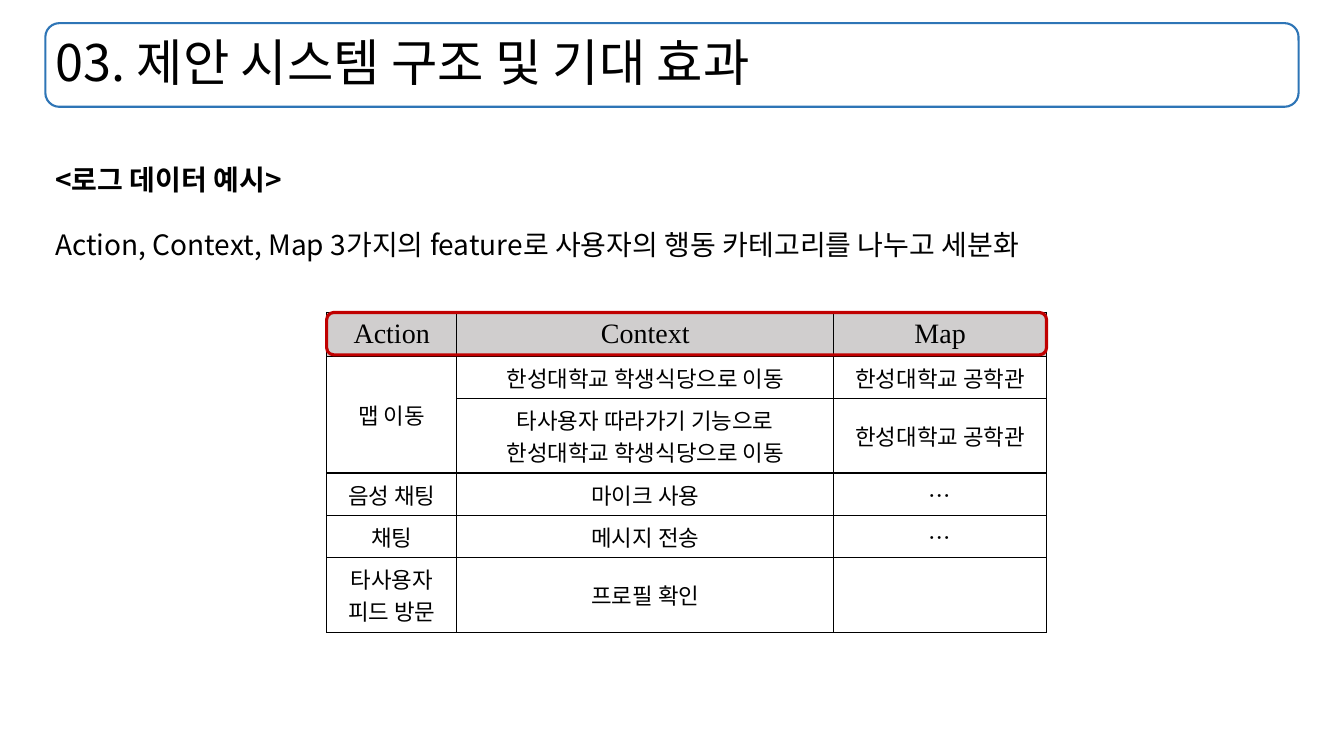
from dataclasses import dataclass

from lxml.etree import SubElement
from pptx import Presentation
from pptx.dml.color import RGBColor
from pptx.enum.shapes import MSO_SHAPE
from pptx.enum.text import MSO_ANCHOR, PP_ALIGN
from pptx.oxml.ns import qn
from pptx.util import Inches, Pt

TITLE = "03. 제안 시스템 구조 및 기대 효과"
HEADING = "<로그 데이터 예시>"
SUMMARY = "Action, Context, Map 3가지의 feature로 사용자의 행동 카테고리를 나누고 세분화"
LOG_HEADER = ["Action", "Context", "Map"]
LOG_ROWS = [
    [["맵 이동"], ["한성대학교 학생식당으로 이동"], ["한성대학교 공학관"]],
    [[], ["타사용자 따라가기 기능으로", "한성대학교 학생식당으로 이동"], ["한성대학교 공학관"]],
    [["음성 채팅"], ["마이크 사용"], ["…"]],
    [["채팅"], ["메시지 전송"], ["…"]],
    [["타사용자", "피드 방문"], ["프로필 확인"], []],
]
COLUMN_WIDTHS = [1.29, 3.74, 2.11]
LINE_ROW_HEIGHTS = {1: 0.42, 2: 0.74}
TITLE_AREA = (0.45, 0.23, 12.43, 0.83)
BODY_AREA = (0.45, 1.4, 12.43, 5.39)
TABLE_LEFT, TABLE_TOP = 3.24, 3.1


@dataclass(frozen=True)
class Theme:
    """Colours, fonts and type sizes of the slide."""
    ink: str = "000000"
    title_line: str = "2E75B6"
    header_fill: str = "D0CECE"
    highlight: str = "C00000"
    korean: str = "Noto Sans CJK KR"
    latin: str = "Times New Roman"
    title_size: int = 36
    body_size: int = 20
    cell_size: int = 16


THEME = Theme()


def write_text(frame, lines, size=THEME.body_size, font=THEME.korean, bold_first=False,
               align=PP_ALIGN.LEFT, spacing=None, before=0):
    """Fill a text frame with one paragraph per line."""
    for index, line in enumerate(lines):
        para = frame.add_paragraph() if index else frame.paragraphs[0]
        para.alignment = align
        para.line_spacing = spacing
        para.space_before = Pt(before if index else 0)
        span = para.add_run()
        span.text = line
        span.font.size = Pt(size)
        span.font.name = font
        span.font.bold = bold_first and index == 0
        span.font.color.rgb = RGBColor.from_string(THEME.ink)
        SubElement(span.font._element, qn("a:ea"), typeface=THEME.korean)


def add_frame(page, area, color, width):
    """Draw an unfilled rounded frame."""
    box = page.shapes.add_shape(MSO_SHAPE.ROUNDED_RECTANGLE, *map(Inches, area))
    box.shadow.inherit = False
    box.fill.background()
    box.line.color.rgb = RGBColor.from_string(color)
    box.line.width = Pt(width)


def format_cell(cell, fill):
    """Set the borders, fill and anchor of a table cell."""
    properties = cell._tc.get_or_add_tcPr()
    for side in ("lnL", "lnR", "lnT", "lnB"):
        border = SubElement(properties, qn(f"a:{side}"), w=str(Pt(1)))
        SubElement(SubElement(border, qn("a:solidFill")), qn("a:srgbClr"), val=THEME.ink)
    if fill:
        cell.fill.solid()
        cell.fill.fore_color.rgb = RGBColor.from_string(fill)
    else:
        cell.fill.background()
    cell.vertical_anchor = MSO_ANCHOR.MIDDLE


def add_log_table(page):
    """Add the log table and the frame around its header."""
    rows = [[[name] for name in LOG_HEADER]] + LOG_ROWS
    heights = [LINE_ROW_HEIGHTS[max(map(len, row))] for row in rows]
    width = sum(COLUMN_WIDTHS)
    area = (TABLE_LEFT, TABLE_TOP, width, sum(heights))
    table = page.shapes.add_table(len(rows), len(LOG_HEADER), *map(Inches, area)).table
    for column, column_width in zip(table.columns, COLUMN_WIDTHS):
        column.width = Inches(column_width)
    for r, (row, height) in enumerate(zip(rows, heights)):
        table.rows[r].height = Inches(height)
        header = r == 0
        for c, lines in enumerate(row):
            cell = table.cell(r, c)
            format_cell(cell, THEME.header_fill if header else None)
            write_text(cell.text_frame, lines, align=PP_ALIGN.CENTER,
                       size=THEME.body_size if header else THEME.cell_size,
                       font=THEME.latin if header else THEME.korean)
    table.cell(1, 0).merge(table.cell(2, 0))
    add_frame(page, (TABLE_LEFT, TABLE_TOP, width, heights[0]), THEME.highlight, 2.25)


def main():
    """Build and save the slide."""
    deck = Presentation()
    deck.slide_width, deck.slide_height = Inches(13.33), Inches(7.5)
    page = deck.slides.add_slide(deck.slide_layouts[5])
    add_frame(page, TITLE_AREA, THEME.title_line, 1.5)

    title = page.shapes.title
    title.left, title.top, title.width, title.height = map(Inches, TITLE_AREA)
    title.text_frame.vertical_anchor = MSO_ANCHOR.MIDDLE
    write_text(title.text_frame, [TITLE], size=THEME.title_size, spacing=0.9)

    body = page.shapes.add_textbox(*map(Inches, BODY_AREA)).text_frame
    body.word_wrap = True
    write_text(body, [HEADING, SUMMARY], bold_first=True, spacing=1.5, before=10)
    add_log_table(page)
    deck.save("out.pptx")


if __name__ == "__main__":
    main()
